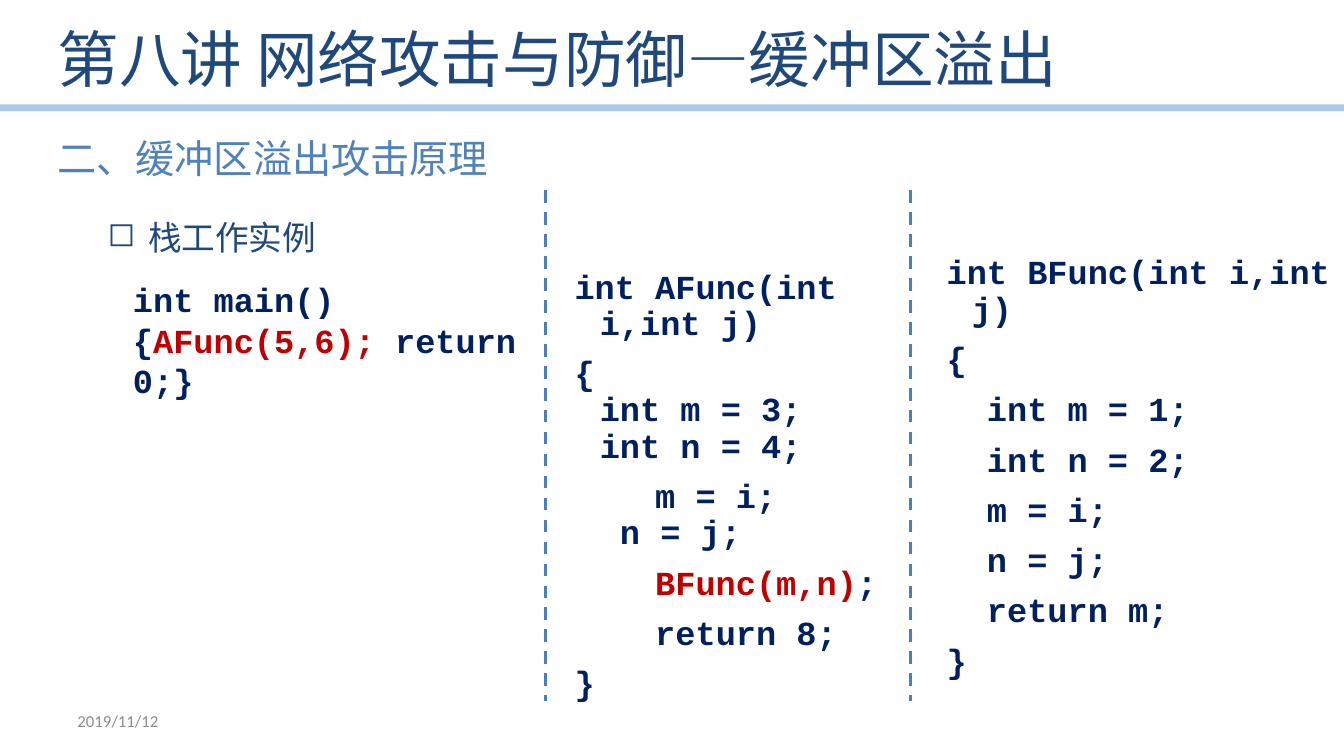
"""Build the slide on how the stack works in a buffer overflow."""
from lxml import etree
from pptx import Presentation
from pptx.dml.color import RGBColor
from pptx.enum import dml, shapes, text
from pptx.oxml.ns import qn
from pptx.util import Inches, Pt

CJK, MONO = "Noto Sans CJK SC", "Courier New"
DARK_BLUE, NAVY, RED = "1F497D", "002060", "C00000"

TITLE = "第八讲 网络攻击与防御—缓冲区溢出"
LABELS = [
    ("二、缓冲区溢出攻击原理", (0.47, 1.28, 4.52, 0.57), CJK, 28, "4F81BD"),
    ("栈工作实例", (0.47, 2.02, 4.87, 0.7), CJK, 24, DARK_BLUE),
    ("2019/11/12", (0.67, 6.95, 3.11, 0.4), "Calibri", 12, "8C8C8C"),
]
MAIN = [
    [("int main()", NAVY)],
    [("{", NAVY), ("AFunc(5,6);", RED), (" return 0;}", NAVY)],
]
AFUNC = [
    [("int AFunc(int i,int j)", NAVY)],
    [("{\nint m = 3;\nint n = 4;", NAVY)],
    [("    m = i;\n n = j;", NAVY)],
    [("    ", NAVY), ("BFunc(m,n)", RED), (";", NAVY)],
    [("    return 8;", NAVY)],
    [("}", NAVY)],
]
BFUNC = [[(line, NAVY)] for line in (
    "int BFunc(int i,int j)", "{", "  int m = 1;", "  int n = 2;",
    "  m = i;", "  n = j;", "  return m;", "}")]
LISTINGS = [
    (AFUNC, (5.6, 2.63, 3.45, 4.05), True),
    (BFUNC, (9.29, 2.49, 4.25, 3.97), True),
    (MAIN, (1.22, 2.72, 4.41, 1.31), False),
]
RULES = [
    ((0, 1.07, 13.33, 1.07), "8EB4E3", 4.75, dml.MSO_LINE.SOLID, 73),
    ((5.41, 1.89, 5.41, 6.95), "4B7EBC", 2.25, dml.MSO_LINE.DASH, 100),
    ((9.03, 1.89, 9.03, 6.95), "4B7EBC", 2.25, dml.MSO_LINE.DASH, 100),
]


def rgb(value):
    return RGBColor.from_string(value)


def style(paragraph, face, size, color=None, bold=False):
    font = paragraph.font
    font.name, font.size, font.bold = face, Pt(size), bold
    if color:
        font.color.rgb = rgb(color)
    defaults = paragraph._p.pPr.find(qn("a:defRPr"))
    etree.SubElement(defaults, qn("a:ea"), typeface=face)


def indent(paragraph, left, first):
    props = paragraph._p.get_or_add_pPr()
    props.set("marL", str(Inches(left)))
    props.set("indent", str(Inches(first)))
    return props


def add_box(slide, place):
    frame = slide.shapes.add_textbox(*map(Inches, place)).text_frame
    frame.word_wrap = True
    return frame


def add_listing(slide, code, place, hanging):
    frame = add_box(slide, place)
    for number, parts in enumerate(code):
        paragraph = frame.add_paragraph() if number else frame.paragraphs[0]
        if hanging:
            indent(paragraph, 0.25, -0.25)
            paragraph.line_spacing = 0.9
            if number:
                paragraph.space_before = Pt(10)
        style(paragraph, MONO, 24, bold=True)
        for words, color in parts:
            for row, line in enumerate(words.split("\n")):
                if row:
                    paragraph.add_line_break()
                run = paragraph.add_run()
                run.text = line
                run.font.color.rgb = rgb(color)


def add_rule(slide, ends, color, width, dash, opacity):
    rule = slide.shapes.add_connector(
        shapes.MSO_CONNECTOR.STRAIGHT, *map(Inches, ends))
    rule.line.color.rgb = rgb(color)
    rule.line.width = Pt(width)
    rule.line.dash_style = dash
    props = rule._element.spPr
    if opacity < 100:
        fill = props.find(".//" + qn("a:srgbClr"))
        etree.SubElement(fill, qn("a:alpha"), val=str(opacity * 1000))
    etree.SubElement(props, qn("a:effectLst"))


def main():
    deck = Presentation()
    deck.slide_width, deck.slide_height = Inches(13.33), Inches(7.5)
    slide = deck.slides.add_slide(deck.slide_layouts[5])

    title = slide.shapes.title
    title.left, title.top, title.width, title.height = map(
        Inches, (0.47, 0.09, 11.02, 0.97))
    title.text_frame.text = TITLE
    title.text_frame.auto_size = text.MSO_AUTO_SIZE.NONE
    title.text_frame.vertical_anchor = text.MSO_ANCHOR.MIDDLE
    heading = title.text_frame.paragraphs[0]
    heading.alignment = text.PP_ALIGN.LEFT
    style(heading, CJK, 44, DARK_BLUE)

    frames = []
    for words, place, face, size, color in LABELS:
        frame = add_box(slide, place)
        frame.text = words
        frames.append(frame)
        if words == "栈工作实例":
            topic = frame.paragraphs[0]
            topic.line_spacing = 1.2
            props = indent(topic, 0.9, -0.4)
            etree.SubElement(props, qn("a:buChar"), char="◻")
        style(frame.paragraphs[0], face, size, color)
    frames[-1].vertical_anchor = text.MSO_ANCHOR.MIDDLE

    for listing in LISTINGS:
        add_listing(slide, *listing)
    for rule in RULES:
        add_rule(slide, *rule)
    deck.save("out.pptx")


if __name__ == "__main__":
    main()
